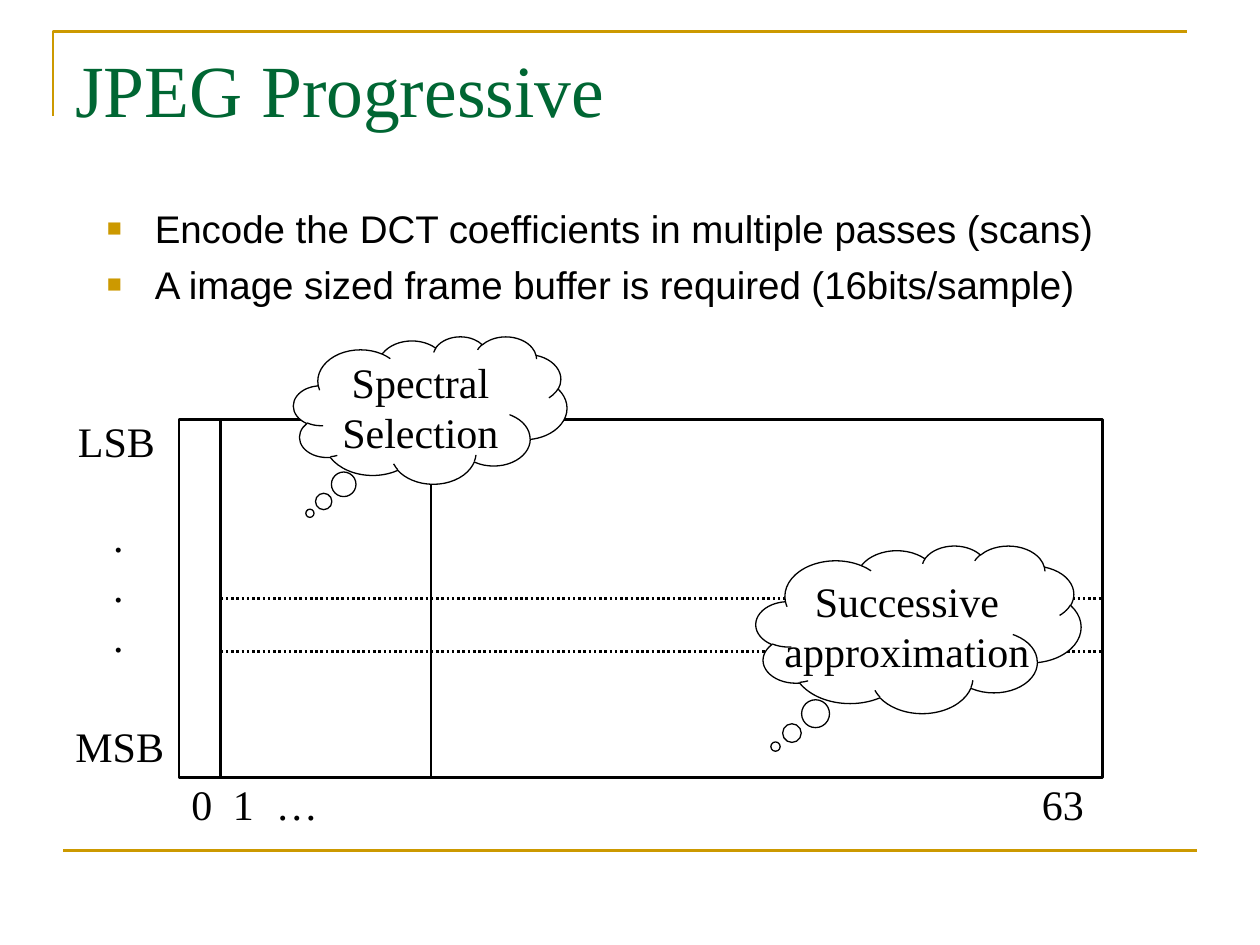
from dataclasses import dataclass

from lxml import etree
from pptx import Presentation
from pptx import util as u
from pptx.dml.color import RGBColor
from pptx.enum import dml, shapes, text
from pptx.oxml import ns

GOLD = RGBColor(0xCC, 0x99, 0x00)
GREEN = RGBColor(0x00, 0x66, 0x33)
BLACK = RGBColor(0x00, 0x00, 0x00)
WHITE = RGBColor(0xFF, 0xFF, 0xFF)
SERIF = {"name": "Times New Roman", "size": u.Pt(24)}
TITLE = {"name": "Times New Roman", "size": u.Pt(42)}
BODY = {"name": "Arial", "size": u.Pt(22)}

# Edges of the coefficient diagram
LEFT, TOP, RIGHT, BOTTOM = 1.42, 3.33, 8.75, 6.17
FIRST_AC = 1.75


@dataclass
class Label:
    lines: list[str]
    left: float
    top: float
    width: float
    height: float
    wrap: bool = False


@dataclass
class Rule:
    x1: float
    y1: float
    x2: float
    y2: float
    color: RGBColor = BLACK
    dotted: bool = False


def add_child(parent, tag: str, **attributes: str):
    child = etree.SubElement(parent, ns.qn(tag))
    for key, value in attributes.items():
        child.set(key, value)
    return child


def write(frame, lines: list[str], style: dict, color: RGBColor = BLACK) -> None:
    for index, line in enumerate(lines):
        para = frame.paragraphs[0] if index == 0 else frame.add_paragraph()
        span = para.add_run()
        span.text = line
        for key, value in style.items():
            setattr(span.font, key, value)
        span.font.color.rgb = color


def add_text(page, label: Label, style: dict = SERIF, color: RGBColor = BLACK):
    box = page.shapes.add_textbox(*map(u.Inches, (label.left, label.top, label.width, label.height)))
    frame = box.text_frame
    frame.word_wrap = label.wrap
    if not label.wrap:
        frame.auto_size = text.MSO_AUTO_SIZE.SHAPE_TO_FIT_TEXT
    write(frame, label.lines, style, color)
    return frame


def add_rule(page, rule: Rule) -> None:
    line = page.shapes.add_connector(
        shapes.MSO_CONNECTOR.STRAIGHT,
        *map(u.Inches, (rule.x1, rule.y1, rule.x2, rule.y2)))
    line.line.color.rgb = rule.color
    line.line.width = u.Pt(1.5)
    if rule.dotted:
        line.line.dash_style = dml.MSO_LINE.ROUND_DOT
    add_child(line._element.spPr, "a:effectLst")


def add_outlined(page, kind, left: float, top: float, width: float, height: float, weight: float):
    shape = page.shapes.add_shape(kind, *map(u.Inches, (left, top, width, height)))
    shape.shadow.inherit = False
    shape.fill.solid()
    shape.fill.fore_color.rgb = WHITE
    shape.line.color.rgb = BLACK
    shape.line.width = u.Pt(weight)
    return shape


def add_cloud(page, label: Label) -> None:
    cloud = add_outlined(page, shapes.MSO_SHAPE.CLOUD_CALLOUT, label.left, label.top,
                         label.width, label.height, 0.75)
    cloud.adjustments[0], cloud.adjustments[1] = -0.44, 0.7
    frame = cloud.text_frame
    frame.word_wrap = label.wrap
    frame.vertical_anchor = text.MSO_ANCHOR.MIDDLE
    write(frame, label.lines, SERIF)
    for para in frame.paragraphs:
        para.alignment = text.PP_ALIGN.CENTER


def add_bullet(para) -> None:
    props = para._p.get_or_add_pPr()
    props.set("marL", str(u.Inches(0.38)))
    props.set("indent", str(u.Inches(-0.38)))
    add_child(add_child(props, "a:buClr"), "a:srgbClr", val=str(GOLD))
    add_child(props, "a:buSzPct", val="65000")
    add_child(props, "a:buFont", typeface="Arial")
    add_child(props, "a:buChar", char="■")


def add_frame_corner(page) -> None:
    builder = page.shapes.build_freeform(u.Inches(0.42), u.Inches(0.92))
    builder.add_line_segments([(u.Inches(0.42), u.Inches(0.25)),
                               (u.Inches(9.42), u.Inches(0.25))], close=False)
    corner = builder.convert_to_shape()
    corner.shadow.inherit = False
    corner.fill.background()
    corner.line.color.rgb = GOLD
    corner.line.width = u.Pt(1.5)


def main() -> None:
    deck = Presentation()
    deck.slide_width, deck.slide_height = u.Inches(10), u.Inches(7.5)
    page = deck.slides.add_slide(deck.slide_layouts[6])

    # Gold page frame
    add_frame_corner(page)
    add_rule(page, Rule(0.5, 6.75, 9.5, 6.75, GOLD))

    # Title and bullets
    add_text(page, Label(["JPEG Progressive"], 0.5, 0.3, 9, 1.25, True), TITLE, GREEN)
    body = add_text(page, Label([
        "Encode the DCT coefficients in multiple passes (scans)",
        "A image sized frame buffer is required (16bits/sample)",
    ], 0.75, 1.58, 8.75, 0.92, True), BODY)
    for para in body.paragraphs:
        add_bullet(para)
    body.paragraphs[1].space_before = u.Pt(5.5)

    # Coefficient diagram with its axis labels
    add_outlined(page, shapes.MSO_SHAPE.RECTANGLE, LEFT, TOP, RIGHT - LEFT, BOTTOM - TOP, 1.5)
    axis = add_text(page, Label(["0\t1\t…\t63"], LEFT, 6.13, 7.35, 0.5, True))
    tabs = add_child(axis.paragraphs[0]._p.get_or_add_pPr(), "a:tabLst")
    for stop in (0.33, 0.67, 6.75):
        add_child(tabs, "a:tab", pos=str(u.Inches(stop)), algn="l")
    for label in (Label(["LSB"], 0.52, 3.25, 0.81, 0.5),
                  Label(["MSB"], 0.5, 5.67, 0.92, 0.5),
                  Label(["."] * 3, 0.8, 4, 0.28, 1.3)):
        add_text(page, label)

    # Band divisions
    for x in (FIRST_AC, 3.42):
        add_rule(page, Rule(x, TOP, x, BOTTOM))
    for y in (5.17, 4.75):
        add_rule(page, Rule(FIRST_AC, y, RIGHT, y, dotted=True))

    # Callouts
    add_cloud(page, Label(["Spectral", "Selection"], 2.33, 2.67, 2.17, 1.17))
    add_cloud(page, Label(["Successive", "approximation"], 6, 4.33, 2.58, 1.33))

    deck.save("out.pptx")


if __name__ == "__main__":
    main()
